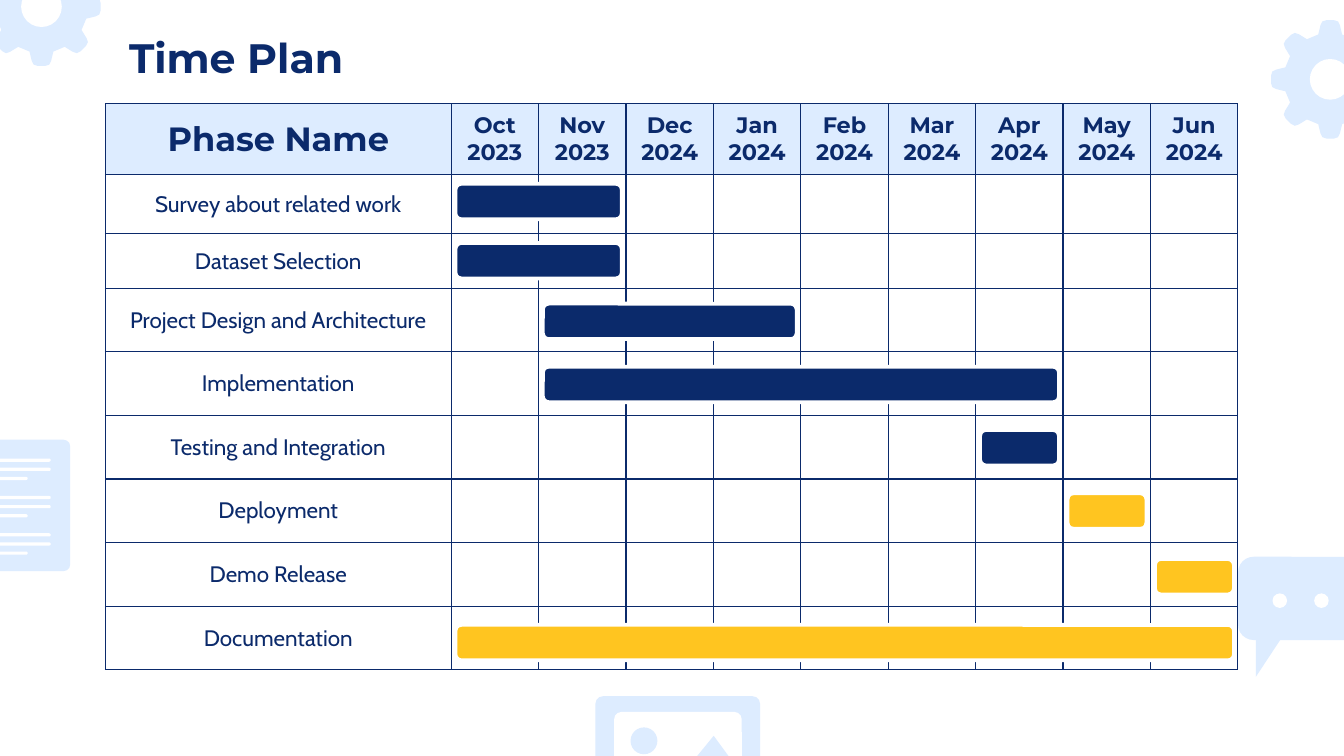
import math

import pptx
import pptx.util
import pptx.dml.color
import pptx.enum.shapes
import pptx.enum.text
import pptx.oxml
import pptx.oxml.ns

Pt = pptx.util.Pt
SHAPE = pptx.enum.shapes.MSO_SHAPE
ANCHOR = pptx.enum.text.MSO_ANCHOR
ALIGN = pptx.enum.text.PP_ALIGN

TITLE = "Time Plan"
MONTHS = ["Oct 2023", "Nov 2023", "Dec 2024", "Jan 2024", "Feb 2024",
          "Mar 2024", "Apr 2024", "May 2024", "Jun 2024"]
# phase, first month, last month, bar colour, bar offset below the row's top
PHASES = [
    ("Survey about related work", 0, 1, "navy", 5),
    ("Dataset Selection", 0, 1, "navy", 5),
    ("Project Design and Architecture", 1, 3, "navy", 8.3),
    ("Implementation", 1, 6, "navy", 8),
    ("Testing and Integration", 6, 6, "navy", 7.8),
    ("Deployment", 7, 7, "yellow", 7.6),
    ("Demo Release", 8, 8, "yellow", 8.7),
    ("Documentation", 0, 8, "yellow", 9.9),
]

THEME = {
    "navy": "0B2A6B", "yellow": "FFC520", "pale": "DDECFF", "white": "FFFFFF",
    "heading": "Montserrat", "body": "Cabin",
    "title_size": 22, "phase_size": 18, "text_size": 12,
}

TABLE_LEFT, TABLE_TOP = 56.5, 55.5
PHASE_W, MONTH_W = 185.2, 46.85
ROW_HEIGHTS = [38, 31.7, 29.2] + [34.1] * 6
BAR_H, BAR_INSET = 19, 2.3
GEARS = [(22.2, 3.6), (712.6, 42.5)]
# right half of one gear tooth, pointing up from the gear's centre
TOOTH_HALF = [(2, -31.7), (4.2, -31), (5.2, -29), (6.4, -24)]


def rgb(name):
    return pptx.dml.color.RGBColor.from_string(THEME[name])


def paint(sp, colour):
    sp.shadow.inherit = False
    sp.fill.solid()
    sp.fill.fore_color.rgb = rgb(colour)
    sp.line.fill.background()
    return sp


def add_preset(s, kind, x, y, w, h, colour, radius=None):
    sp = paint(s.shapes.add_shape(kind, Pt(x), Pt(y), Pt(w), Pt(h)), colour)
    if radius is not None:
        sp.adjustments[0] = radius / min(w, h)
    return sp


def add_circle(s, cx, cy, r, colour):
    return add_preset(s, SHAPE.OVAL, cx - r, cy - r, 2 * r, 2 * r, colour)


def add_polygon(s, points, colour):
    points = [(Pt(x), Pt(y)) for x, y in points]
    builder = s.shapes.build_freeform(*points[0])
    builder.add_line_segments(points[1:], close=True)
    return paint(builder.convert_to_shape(), colour)


def add_gear(s, cx, cy):
    tooth = [(-x, y) for x, y in reversed(TOOTH_HALF)] + TOOTH_HALF
    points = []
    for k in range(8):
        c, n = math.cos(k * math.pi / 4), math.sin(k * math.pi / 4)
        points += [(cx + x * c - y * n, cy + x * n + y * c) for x, y in tooth]
    add_polygon(s, points, "pale")
    add_circle(s, cx, cy, 10.9, "white")


def add_document(s):
    add_preset(s, SHAPE.ROUNDED_RECTANGLE, -19.4, 235.6, 57, 70.4, "pale", 3.6)
    for block in range(3):
        for line, width in enumerate((36, 36, 23.6)):
            y = 245.7 + 20 * block + 4.9 * line
            add_preset(s, SHAPE.ROUNDED_RECTANGLE, -8.8, y, width, 1.7, "white", 0.85)


def add_speech_bubble(s):
    add_preset(s, SHAPE.ROUNDED_RECTANGLE, 663.3, 298.3, 88, 44.6, "pale", 8.3)
    add_polygon(s, [(672.8, 342), (672.8, 362.6), (686.4, 342)], "pale")
    for cx in (685.6, 707.9):
        add_circle(s, cx, 321.8, 3.9, "white")


def add_image_icon(s):
    add_preset(s, SHAPE.ROUNDED_RECTANGLE, 319, 373, 88.2, 62.6, "pale", 4)
    add_preset(s, SHAPE.ROUNDED_RECTANGLE, 329, 381.4, 68.4, 46.2, "white", 4)
    add_polygon(s, [(382.4, 394.2), (364.4, 416.2), (375.8, 427.6),
                    (397.4, 427.6), (397.4, 414.7)], "pale")
    add_circle(s, 345, 396.9, 7.2, "pale")


def style_text(p, font, size, bold):
    p.font.name = THEME[font]
    p.font.size = Pt(THEME[size])
    p.font.bold = bold
    p.font.color.rgb = rgb("navy")


def add_borders(cell):
    tcPr = cell._tc.get_or_add_tcPr()
    for side in ("lnL", "lnR", "lnT", "lnB"):
        tcPr.append(pptx.oxml.parse_xml(
            f'<a:{side} {pptx.oxml.ns.nsdecls("a")} w="{Pt(0.75)}"><a:solidFill>'
            f'<a:srgbClr val="{THEME["navy"]}"/></a:solidFill></a:{side}>'))


def fill_cell(cell, text, font, size, bold, margins, fill=None):
    cell.margin_left = cell.margin_right = Pt(margins[0])
    cell.margin_top = cell.margin_bottom = Pt(margins[1])
    cell.vertical_anchor = ANCHOR.MIDDLE
    add_borders(cell)
    if fill:
        cell.fill.solid()
        cell.fill.fore_color.rgb = rgb(fill)
    else:
        cell.fill.background()
    p = cell.text_frame.paragraphs[0]
    if text:
        p.text = text
    p.alignment = ALIGN.CENTER
    style_text(p, font, size, bold)


def add_plan_table(s):
    frame = s.shapes.add_table(
        len(PHASES) + 1, len(MONTHS) + 1, Pt(TABLE_LEFT), Pt(TABLE_TOP),
        Pt(PHASE_W + MONTH_W * len(MONTHS)), Pt(sum(ROW_HEIGHTS)))
    table = frame.table
    table.first_row = table.horz_banding = False
    for c, column in enumerate(table.columns):
        column.width = Pt(MONTH_W if c else PHASE_W)
    for row, height in zip(table.rows, ROW_HEIGHTS):
        row.height = Pt(height)
    fill_cell(table.cell(0, 0), "Phase Name", "heading", "phase_size", True, (7.2, 5), "pale")
    for c, month in enumerate(MONTHS, 1):
        fill_cell(table.cell(0, c), month, "heading", "text_size", True, (0, 0), "pale")
    for r, phase in enumerate(PHASES, 1):
        for c in range(len(MONTHS) + 1):
            text = "" if c else phase[0]
            fill_cell(table.cell(r, c), text, "body", "text_size", False, (3.6, 3.6))


def add_bars(s):
    for r, (_, first, last, colour, offset) in enumerate(PHASES, 1):
        x = TABLE_LEFT + PHASE_W + first * MONTH_W + BAR_INSET
        y = TABLE_TOP + sum(ROW_HEIGHTS[:r]) + offset
        w = (last - first + 1) * MONTH_W - 2 * BAR_INSET
        bar = add_preset(s, SHAPE.ROUNDED_RECTANGLE, x, y, w, BAR_H, colour, BAR_H / 6)
        bar.line.color.rgb = rgb("white")
        bar.line.width = Pt(2)


def add_title(s):
    sp = s.shapes.title
    sp.left, sp.top, sp.width, sp.height = Pt(61.9), Pt(10.4), Pt(607), Pt(45)
    tf = sp.text_frame
    tf.margin_left = tf.margin_right = tf.margin_top = tf.margin_bottom = Pt(7.2)
    tf.vertical_anchor = ANCHOR.TOP
    p = tf.paragraphs[0]
    p.text = TITLE
    p.alignment = ALIGN.LEFT
    style_text(p, "heading", "title_size", True)


def main():
    prs = pptx.Presentation()
    prs.slide_width, prs.slide_height = Pt(720), Pt(405)
    s = prs.slides.add_slide(prs.slide_layouts[5])
    add_title(s)
    for cx, cy in GEARS:
        add_gear(s, cx, cy)
    add_document(s)
    add_speech_bubble(s)
    add_image_icon(s)
    add_plan_table(s)
    add_bars(s)
    prs.save("out.pptx")


if __name__ == "__main__":
    main()
